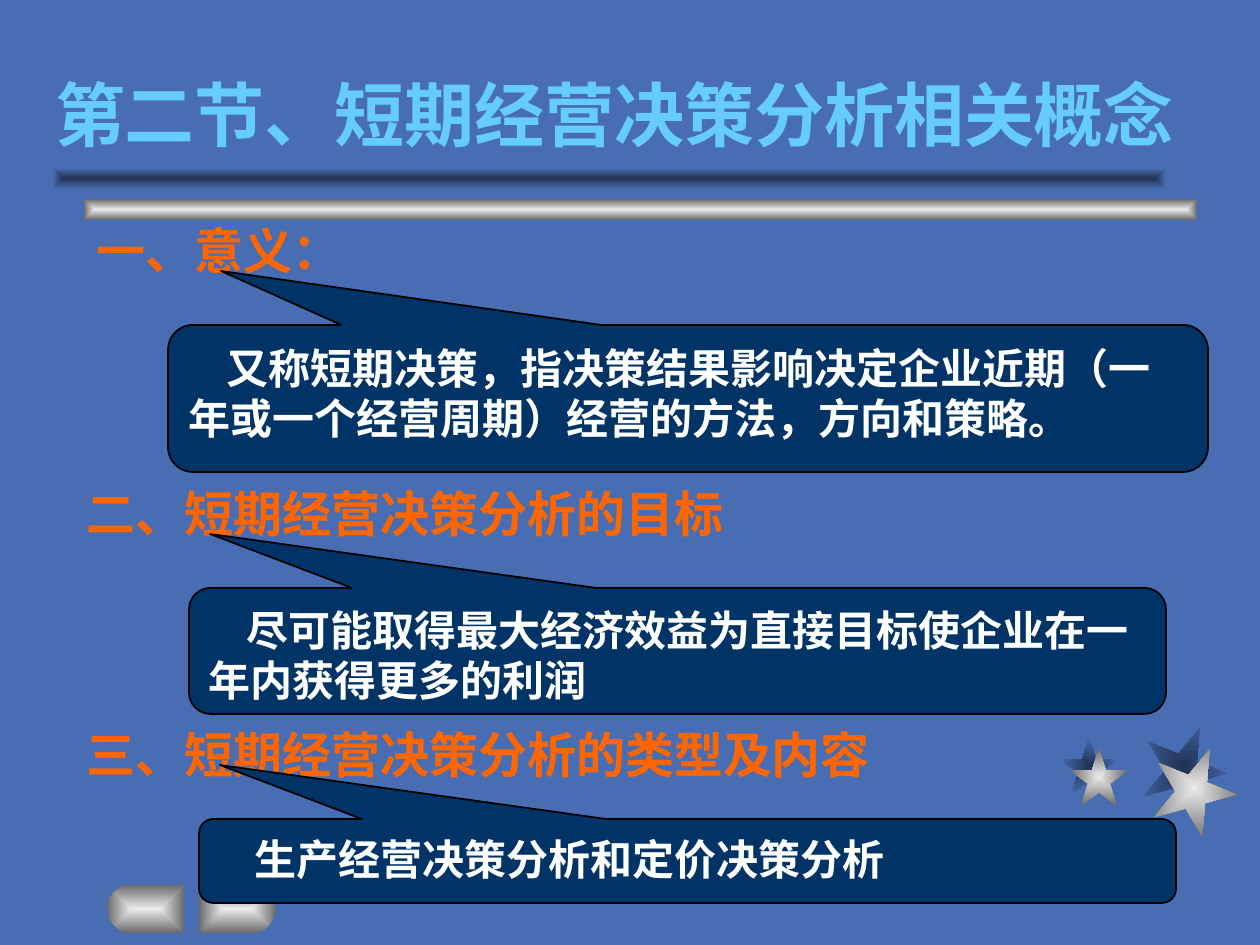
from lxml import etree
from pptx import Presentation, util as u
from pptx.dml.color import RGBColor
from pptx.enum import shapes, text
from pptx.oxml import parse_xml
from pptx.oxml.ns import nsdecls, qn

PX = 914400 // 126
FONT = "Noto Sans CJK SC"
BLUE, SHADE = "496DB2", "213252"
SILVER, GREY = "EAEAEA", "6B6B6B"
ORANGE, NAVY = "FF6600", "003366"


def px(*lengths):
    return [u.Emu(length * PX) for length in lengths]


def color(value):
    return RGBColor.from_string(value)


def glow(shape, center, edge):
    """Fill a shape with a gradient that runs from its centre to its edge."""
    shape.shadow.inherit = False
    shape.line.fill.background()
    gradient = parse_xml(
        f'<a:gradFill {nsdecls("a")} rotWithShape="1"><a:gsLst>'
        f'<a:gs pos="0"><a:srgbClr val="{center}"/></a:gs>'
        f'<a:gs pos="100000"><a:srgbClr val="{edge}"/></a:gs></a:gsLst>'
        '<a:path path="rect"><a:fillToRect l="50000" t="50000" r="50000" b="50000"/>'
        '</a:path></a:gradFill>')
    shape._element.spPr.find(qn("a:ln")).addprevious(gradient)


def write(shape, words, size, value, top=6, leading=None, indent=0):
    frame = shape.text_frame
    frame.word_wrap = True
    frame.auto_size = text.MSO_AUTO_SIZE.NONE
    frame.margin_left, frame.margin_right, frame.margin_top, frame.margin_bottom = px(
        13, 13, top, 6)
    frame.vertical_anchor = text.MSO_ANCHOR.TOP
    para = frame.paragraphs[0]
    para.text = words
    para.alignment = text.PP_ALIGN.LEFT
    if leading:
        para.line_spacing = u.Pt(leading)
    if indent:
        para._p.get_or_add_pPr().set("indent", str(indent * PX))
    para.font.name, para.font.size, para.font.bold = FONT, u.Pt(size), True
    para.font.color.rgb = color(value)
    for span in para.runs:
        span.font.name = FONT
        etree.SubElement(span._r.get_or_add_rPr(), qn("a:ea"), typeface=FONT)


def add_title(page, box, words):
    title = page.shapes.title
    title.left, title.top, title.width, title.height = px(*box)
    write(title, words, 40, "66CCFF")
    title.text_frame.vertical_anchor = text.MSO_ANCHOR.BOTTOM


def add_star(page, box, turn, center, edge):
    star = page.shapes.add_shape(shapes.MSO_SHAPE.STAR_5_POINT, *px(*box))
    star.rotation = turn
    glow(star, center, edge)


def add_bar(page, box, center, edge):
    bar = page.shapes.add_shape(shapes.MSO_SHAPE.RECTANGLE, *px(*box))
    glow(bar, center, edge)


def add_button(page, box, mirrored):
    """A block with one rounded end, on the left unless mirrored."""
    left, top, width, height = box
    upper = [(22, 0), (15, 1), (9, 5), (5, 10), (1, 15), (0, 24)]
    lower = [(2, 33), (6, 39), (11, 44), (16, 47), (20, height)]
    outline = [(width, 0), *upper, *lower, (width, height)]
    if mirrored:
        outline = [(width - x, y) for x, y in outline]
    points = [(left + x, top + y) for x, y in outline]
    builder = page.shapes.build_freeform(*points[0], scale=PX)
    builder.add_line_segments(points[1:], close=True)
    glow(builder.convert_to_shape(), SILVER, GREY)


def add_heading(page, box, words):
    heading = page.shapes.add_textbox(*px(*box))
    write(heading, words, 28, ORANGE, top=12, leading=33)


def add_callout(page, box, tip, words):
    """A rounded callout whose pointer ends at tip, measured from the box corner."""
    _, _, width, height = box
    callout = page.shapes.add_shape(
        shapes.MSO_SHAPE.ROUNDED_RECTANGULAR_CALLOUT, *px(*box))
    callout.adjustments[0] = tip[0] / width - 0.5
    callout.adjustments[1] = tip[1] / height - 0.5
    callout.adjustments[2] = 0.17
    callout.shadow.inherit = False
    callout.fill.solid()
    callout.fill.fore_color.rgb = color(NAVY)
    callout.line.color.rgb = color("000000")
    callout.line.width = u.Pt(1)
    write(callout, words, 24, "FFFFFF", top=11, leading=28.6, indent=38)


def add_decoration(page):
    # Stars: shadows first, then the silver ones
    for box, turn, fill in [
        ((1060, 737, 58, 58), 0, (SHADE, BLUE)),
        ((1142, 725, 84, 84), 22, (SHADE, BLUE)),
        ((1070, 748, 58, 58), 0, (SILVER, GREY)),
        ((1152, 746, 84, 84), 22, (SILVER, GREY)),
    ]:
        add_star(page, box, turn, *fill)
    # Double rule under the title
    add_bar(page, (84, 199, 1113, 21), SILVER, GREY)
    add_bar(page, (53, 168, 1113, 21), SHADE, BLUE)
    # Pair of buttons
    add_button(page, (107, 885, 77, 48), False)
    add_button(page, (199, 885, 77, 48), True)


def main():
    deck = Presentation()
    deck.slide_width, deck.slide_height = u.Inches(10), u.Inches(7.5)
    page = deck.slides.add_slide(deck.slide_layouts[5])
    page.background.fill.solid()
    page.background.fill.fore_color.rgb = color(BLUE)

    add_decoration(page)
    add_title(page, (42, 67, 1187, 95), "第二节、短期经营决策分析相关概念")

    # Each section: heading box and words, callout box, tip and words
    sections = [
        ((84, 210, 809, 72), "一、意义：", (168, 325, 1040, 147), (53, -54),
         "又称短期决策，指决策结果影响决定企业近期（一年或一个经营周期）经营的方法，方向和策略。"),
        ((74, 473, 809, 72), "二、短期经营决策分析的目标", (189, 588, 977, 126), (21, -54),
         "尽可能取得最大经济效益为直接目标使企业在一年内获得更多的利润"),
        ((74, 714, 872, 72), "三、短期经营决策分析的类型及内容", (199, 819, 977, 84), (21, -54),
         "生产经营决策分析和定价决策分析"),
    ]
    for heading_box, heading, callout_box, tip, words in sections:
        add_heading(page, heading_box, heading)
        add_callout(page, callout_box, tip, words)

    deck.save("out.pptx")


if __name__ == "__main__":
    main()
